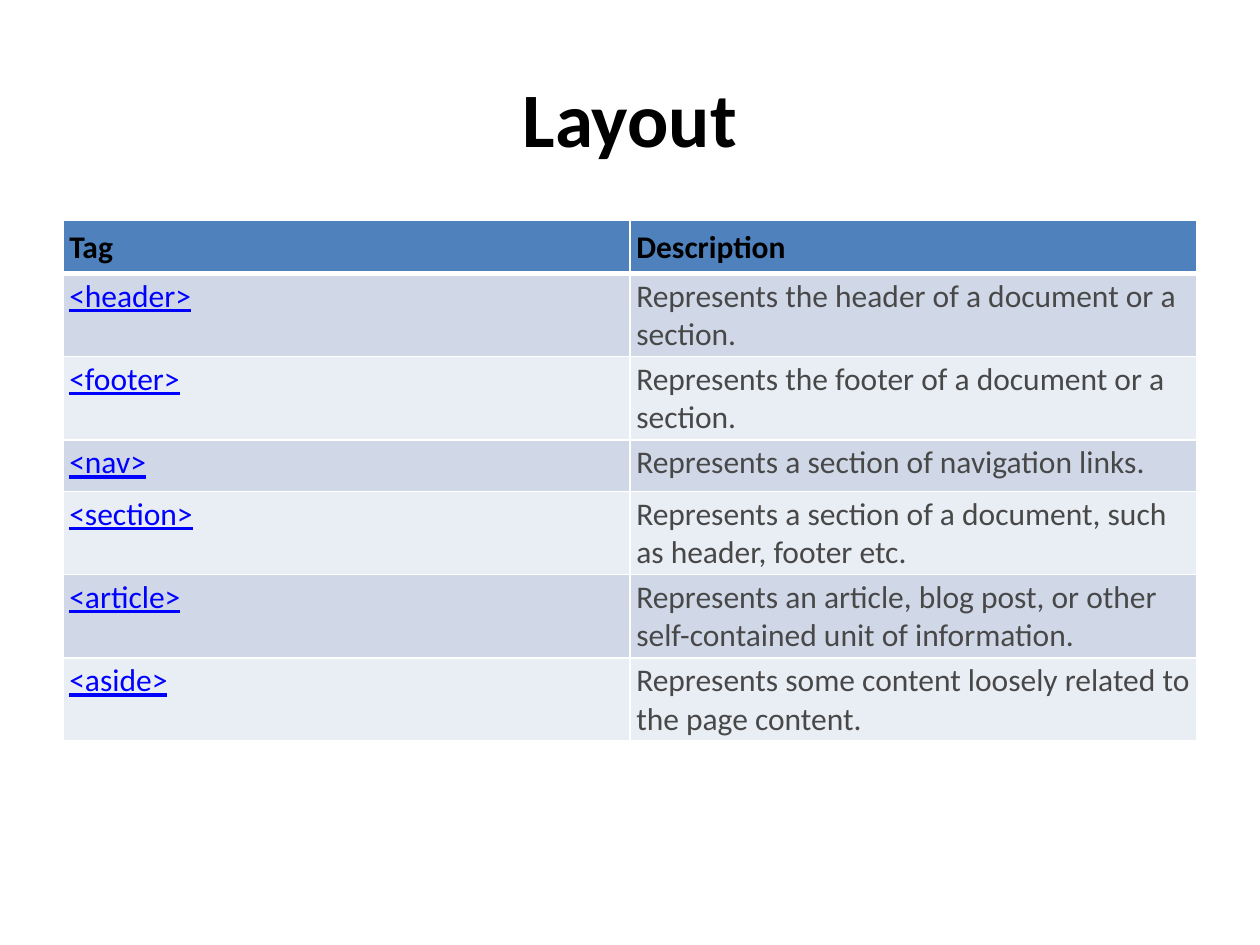
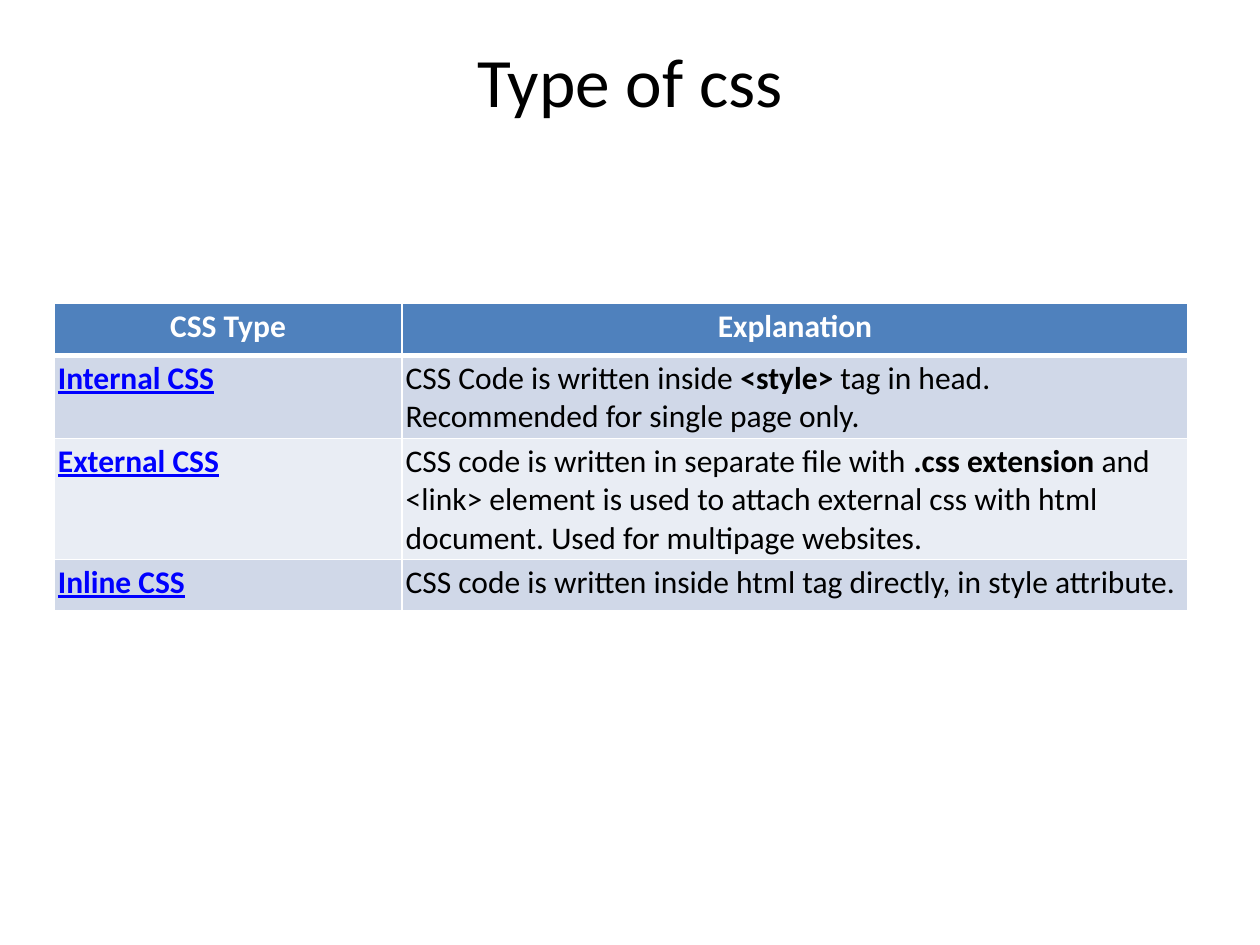
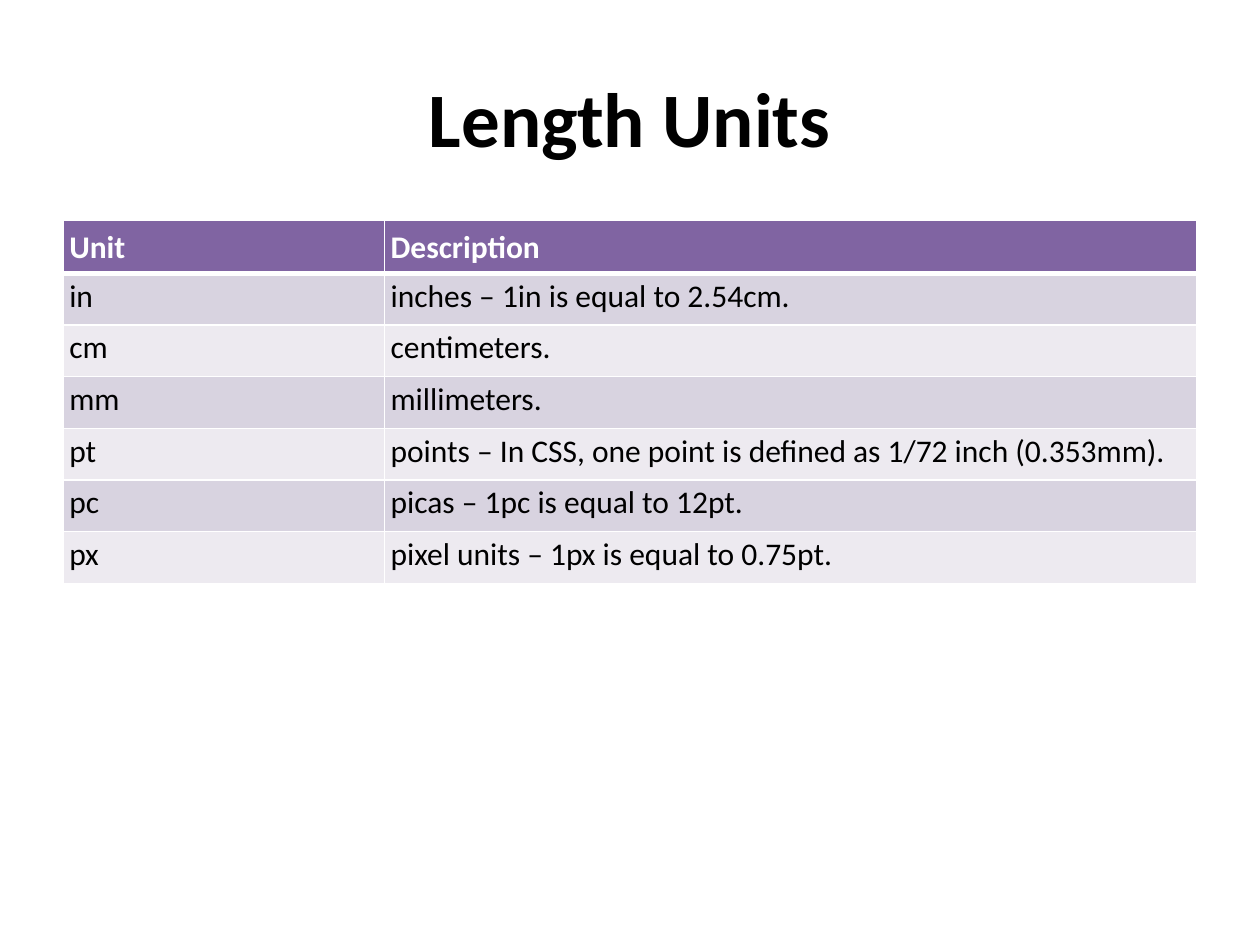
"""Build three slides, each a title over a table, on markup and style sheets."""
from pptx import Presentation
from pptx.dml.color import RGBColor
from pptx.enum.text import MSO_ANCHOR, PP_ALIGN
from pptx.oxml import parse_xml
from pptx.oxml.ns import nsdecls
from pptx.util import Inches, Pt

INK = {
    "black": "000000", "white": "FFFFFF", "gray": "484848", "link": "0000FF",
    "blue": "4F81BD", "blue_dark": "D0D8E8", "blue_light": "E9EDF4",
    "plum": "8064A2", "plum_dark": "D8D3E0", "plum_light": "EDEAF0",
}
COLS, ROWS = 40, 30
ROW = 1.64
LINK = {"ink": "link", "underline": True}


class Deck:
    """Hold the style and the current slide, and draw each kind of element."""

    def __init__(self):
        self.show = Presentation()
        self.show.slide_width, self.show.slide_height = Inches(10), Inches(7.5)
        self.slide = None

    def grid(self, *spans):
        units = self.show.slide_width / COLS, self.show.slide_height / ROWS
        return [round(span * units[i % 2]) for i, span in enumerate(spans)]

    def page(self):
        self.slide = self.show.slides.add_slide(self.show.slide_layouts[6])

    def text(self, para, words, ink="black", size=18, **form):
        for i, part in enumerate(words.split("*")):
            if not part:
                continue
            run = para.add_run()
            run.text = part
            look = {"name": "Calibri", "size": Pt(size), "bold": i % 2 == 1, **form}
            for key, value in look.items():
                setattr(run.font, key, value)
            run.font.color.rgb = RGBColor.from_string(INK[ink])

    def title(self, words, anchor=MSO_ANCHOR.MIDDLE, **form):
        frame = self.slide.shapes.add_textbox(*self.grid(2, 1.2, 36, 5)).text_frame
        look = {"word_wrap": True, "vertical_anchor": anchor,
                "margin_top": 0, "margin_bottom": 0}
        for key, value in look.items():
            setattr(frame, key, value)
        para = frame.paragraphs[0]
        para.alignment = PP_ALIGN.CENTER
        self.text(para, words, **form)

    def edge(self, cell, row):
        wide = {"L": 1, "R": 1, "T": 3 if row == 1 else 1, "B": 1 if row else 3}
        for side, width in wide.items():
            cell._tc.get_or_add_tcPr().append(parse_xml(
                f'<a:ln{side} {nsdecls("a")} w="{Pt(width)}"><a:solidFill>'
                f'<a:srgbClr val="{INK["white"]}"/></a:solidFill></a:ln{side}>'))

    def cell(self, cell, row, words, hue, side, top, align, form):
        self.edge(cell, row)
        tone = hue + ("_dark" if row % 2 else "_light") if row else hue
        cell.fill.solid()
        cell.fill.fore_color.rgb = RGBColor.from_string(INK[tone])
        pad = {"margin_left": side, "margin_right": side,
               "margin_top": top, "margin_bottom": top}
        for key, value in pad.items():
            setattr(cell, key, Inches(value))
        para = cell.text_frame.paragraphs[0]
        para.alignment = align
        self.text(para, words, **form)

    def table(self, rows, at, widths, forms, hue="blue", head="white",
              side=0.05, top=0.06, align=PP_ALIGN.LEFT):
        size = sum(widths), ROW * len(rows)
        table = self.slide.shapes.add_table(
            len(rows), len(widths), *self.grid(*at, *size)).table
        for col, width in zip(table.columns, widths):
            col.width = self.grid(width)[0]
        for r, texts in enumerate(rows):
            table.rows[r].height = self.grid(0, ROW)[1]
            for c, words in enumerate(texts):
                if r:
                    look = 0.03, PP_ALIGN.LEFT, forms[c]
                else:
                    look = top, align, {"ink": head, "bold": True}
                self.cell(table.cell(r, c), r, words, hue, side, *look)


def main():
    deck = Deck()

    deck.page()
    deck.title("Layout", size=44, bold=True)
    deck.table([
        ("Tag", "Description"),
        ("<header>", "Represents the header of a document or a section."),
        ("<footer>", "Represents the footer of a document or a section."),
        ("<nav>", "Represents a section of navigation links."),
        ("<section>", "Represents a section of a document, such as header, footer etc."),
        ("<article>", "Represents an article, blog post, or other self-contained unit of information."),
        ("<aside>", "Represents some content loosely related to the page content."),
    ], (2, 7), (18, 18), (LINK, {"ink": "gray"}), head="black")

    deck.page()
    deck.title("Type of css", MSO_ANCHOR.TOP, size=39.6)
    deck.table([
        ("CSS Type", "Explanation"),
        ("Internal CSS", "CSS Code is written inside *<style>* tag in head. "
                         "Recommended for single page only."),
        ("External CSS", "CSS code is written in separate file with *.css extension* and "
                         "<link> element is used to attach external css with html document. "
                         "Used for multipage websites."),
        ("Inline CSS", "CSS code is written inside html tag directly, in style attribute."),
    ], (1.72, 9.64), (11.04, 24.96), ({**LINK, "bold": True}, {}),
        side=0.03, top=0.03, align=PP_ALIGN.CENTER)

    deck.page()
    deck.title("Length Units", size=44, bold=True)
    deck.table([
        ("Unit", "Description"),
        ("in", "inches – 1in is equal to 2.54cm."),
        ("cm", "centimeters."),
        ("mm", "millimeters."),
        ("pt", "points – In CSS, one point is defined as 1/72 inch (0.353mm)."),
        ("pc", "picas – 1pc is equal to 12pt."),
        ("px", "pixel units – 1px is equal to 0.75pt."),
    ], (2, 7), (10.2, 25.8), ({}, {}), hue="plum")

    deck.show.save("out.pptx")


if __name__ == "__main__":
    main()
